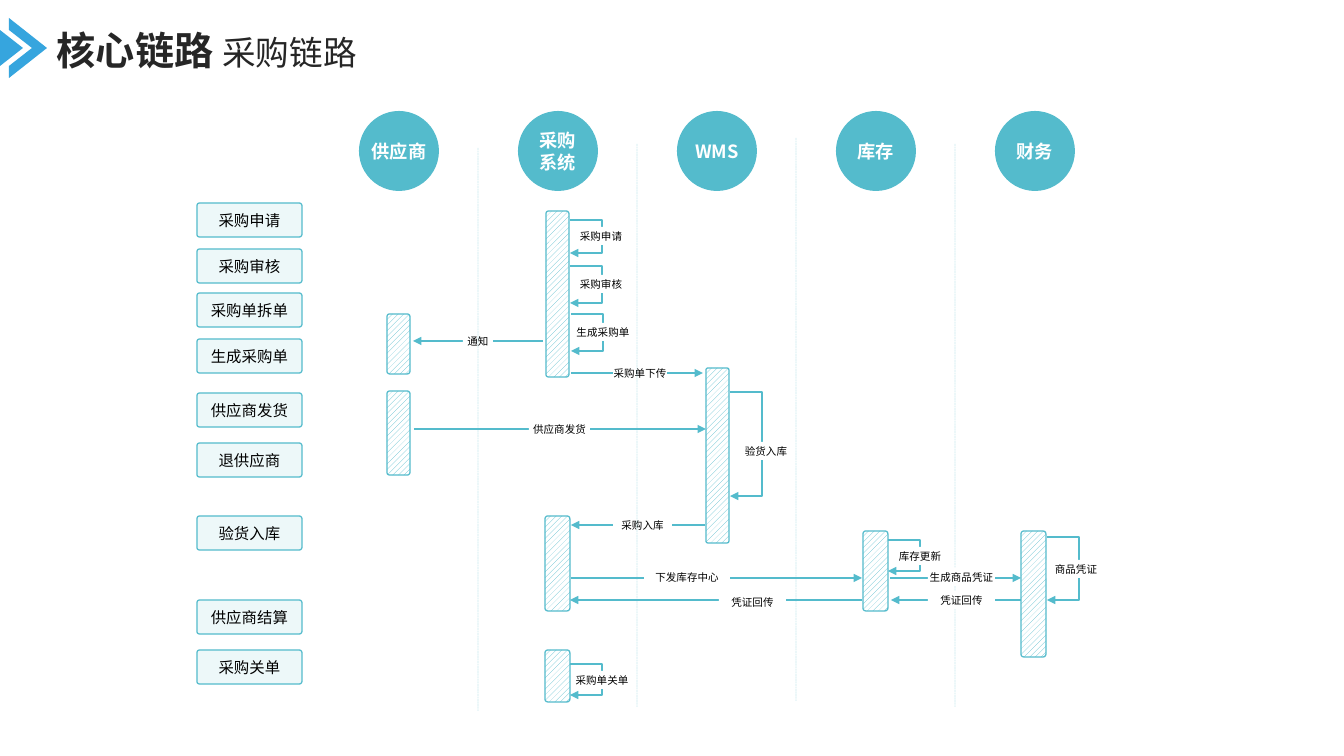
from typing import Any, NamedTuple

import lxml.etree
import pptx
import pptx.dml.color
import pptx.enum.dml
import pptx.enum.shapes
import pptx.enum.text
import pptx.oxml.ns
import pptx.util

EMU_PER_PX = 914400 / 100.8
TEAL = pptx.dml.color.RGBColor(0x54, 0xBB, 0xCC)
BLUE = pptx.dml.color.RGBColor(0x36, 0xA5, 0xDE)
WHITE = pptx.dml.color.RGBColor(0xFF, 0xFF, 0xFF)
BLACK = pptx.dml.color.RGBColor(0, 0, 0)
DARK = pptx.dml.color.RGBColor(0x26, 0x26, 0x26)
CJK_FONT = "Noto Sans CJK SC"
KIND = pptx.enum.shapes.MSO_SHAPE
LANE_LEFT, LANE_PITCH, LANE_SIZE = 359, 159, 80
LOOP_WIDTH = 32
LABEL_HEIGHT = 18


class Step(NamedTuple):
    text: str
    top: int


class Lane(NamedTuple):
    text: str
    inset: int


class Bar(NamedTuple):
    left: int
    top: int
    width: int
    height: int
    corner: float = 0.115


class Loop(NamedTuple):
    text: str
    left: int
    top: int
    height: int
    label_left: int
    label_top: int


class Message(NamedTuple):
    text: str
    start: int
    end: int
    top: int
    label_left: int
    label_top: int
    label_width: int


STEPS = (
    Step("采购申请", 203), Step("采购审核", 249), Step("采购单拆单", 293),
    Step("生成采购单", 339), Step("供应商发货", 393), Step("退供应商", 443),
    Step("验货入库", 516), Step("供应商结算", 600), Step("采购关单", 650),
)
LANES = (Lane("供应商", 0), Lane("采购系统", 5), Lane("WMS", 0), Lane("库存", 5), Lane("财务", 5))
DIVIDER_TOPS = (148, 144, 138, 144)
BARS = (
    Bar(546, 211, 23, 166), Bar(706, 368, 23, 175, 0.087), Bar(545, 650, 25, 52),
    Bar(387, 391, 23, 84), Bar(387, 314, 23, 60), Bar(545, 516, 25, 95),
    Bar(863, 531, 25, 80), Bar(1021, 531, 25, 126),
)
LOOPS = (
    Loop("采购申请", 570, 220, 33, 572, 227),
    Loop("采购审核", 570, 266, 37, 572, 275),
    Loop("生成采购单", 571, 314, 37, 574, 323),
    Loop("验货入库", 730, 392, 104, 737, 442),
    Loop("商品凭证", 1047, 537, 63, 1047, 560),
    Loop("采购单关单", 570, 664, 31, 573, 671),
    Loop("库存更新", 888, 540, 31, 891, 547),
)
ORDER_MESSAGES = (
    Message("通知", 543, 413, 341, 463, 332, 30),
    Message("采购单下传", 571, 703, 373, 613, 364, 54),
    Message("供应商发货", 414, 706, 429, 529, 420, 61),
    Message("采购入库", 705, 571, 525, 613, 516, 59),
)
VOUCHER_MESSAGES = (
    Message("下发库存中心", 571, 862, 578, 644, 568, 86),
    Message("生成商品凭证", 890, 1021, 578, 928, 568, 67),
    Message("凭证回传", 1021, 891, 600, 928, 591, 67),
    Message("凭证回传", 862, 570, 600, 719, 593, 67),
)


def px(length: int) -> pptx.util.Emu:
    return pptx.util.Emu(round(length * EMU_PER_PX))


def set_alpha(shape: Any, percent: int) -> None:
    color = next(shape._element.spPr.iter(pptx.oxml.ns.qn("a:srgbClr")))
    lxml.etree.SubElement(color, pptx.oxml.ns.qn("a:alpha"), val=str(percent * 1000))


def set_outline(shape: Any, points: float = 0.91) -> None:
    shape.line.color.rgb = TEAL
    shape.line.width = pptx.util.Pt(points)


def add_arrowhead(shape: Any) -> None:
    line = shape._element.spPr.find(pptx.oxml.ns.qn("a:ln"))
    lxml.etree.SubElement(line, pptx.oxml.ns.qn("a:tailEnd"), type="triangle")


def add_run(paragraph: Any, text: str, size: float, color: pptx.dml.color.RGBColor,
            bold: bool = False, font_name: str = CJK_FONT) -> None:
    run = paragraph.add_run()
    run.text = text
    run.font.size = pptx.util.Pt(size)
    run.font.bold = bold
    run.font.color.rgb = color
    run.font.name = font_name
    properties = run._r.get_or_add_rPr()
    lxml.etree.SubElement(properties, pptx.oxml.ns.qn("a:ea"), typeface=CJK_FONT)


def add_box(slide: Any, kind: Any, left: int, top: int, width: int, height: int,
            fill: pptx.dml.color.RGBColor, inset: int = 0) -> Any:
    shape = slide.shapes.add_shape(kind, px(left), px(top), px(width), px(height))
    shape.shadow.inherit = False
    shape.fill.solid()
    shape.fill.fore_color.rgb = fill
    shape.line.fill.background()
    frame = shape.text_frame
    frame.word_wrap = True
    frame.margin_left = frame.margin_right = px(inset)
    frame.vertical_anchor = pptx.enum.text.MSO_ANCHOR.MIDDLE
    frame.paragraphs[0].alignment = pptx.enum.text.PP_ALIGN.CENTER
    return shape


def add_outline(slide: Any, points: list[tuple[int, int]], close: bool) -> Any:
    builder = slide.shapes.build_freeform(*points[0], scale=EMU_PER_PX)
    builder.add_line_segments(points[1:], close=close)
    shape = builder.convert_to_shape()
    shape.shadow.inherit = False
    return shape


def add_line(slide: Any, start: tuple[int, int], end: tuple[int, int], points: float = 0.91) -> Any:
    connector = slide.shapes.add_connector(
        pptx.enum.shapes.MSO_CONNECTOR.STRAIGHT, *map(px, start + end))
    set_outline(connector, points)
    lxml.etree.SubElement(connector._element.spPr, pptx.oxml.ns.qn("a:effectLst"))
    return connector


def add_title(slide: Any) -> None:
    triangle = [(0, 30), (23, 48), (0, 66)]
    chevron = [(9, 18), (47, 48), (9, 78), (9, 66), (32, 48), (9, 30)]
    for points in (triangle, chevron):
        shape = add_outline(slide, points, close=True)
        shape.fill.solid()
        shape.fill.fore_color.rgb = BLUE
        shape.line.fill.background()
    frame = slide.shapes.add_textbox(px(47), px(21), px(327), px(57)).text_frame
    frame.word_wrap = False
    frame.auto_size = pptx.enum.text.MSO_AUTO_SIZE.SHAPE_TO_FIT_TEXT
    add_run(frame.paragraphs[0], "核心链路 ", 28, DARK, bold=True)
    add_run(frame.paragraphs[0], "采购链路", 24, DARK)


def add_step(slide: Any, step: Step) -> None:
    shape = add_box(slide, KIND.ROUNDED_RECTANGLE, 197, step.top, 105, 34, TEAL, 10)
    shape.adjustments[0] = 0.077
    set_alpha(shape, 10)
    set_outline(shape)
    add_run(shape.text_frame.paragraphs[0], step.text, 11, BLACK, font_name="Arial")


def add_lane(slide: Any, index: int, lane: Lane) -> None:
    left = LANE_LEFT + index * LANE_PITCH
    shape = add_box(slide, KIND.OVAL, left, 111, LANE_SIZE, LANE_SIZE, TEAL, lane.inset)
    add_run(shape.text_frame.paragraphs[0], lane.text, 13, WHITE, bold=True)


def add_divider(slide: Any, index: int, top: int) -> None:
    left = LANE_LEFT + index * LANE_PITCH + 119
    divider = add_line(slide, (left, top), (left, top + 563), 0.45)
    divider.line.dash_style = pptx.enum.dml.MSO_LINE.SQUARE_DOT
    set_alpha(divider, 30)


def add_bar(slide: Any, bar: Bar) -> None:
    shape = add_box(slide, KIND.ROUNDED_RECTANGLE, bar.left, bar.top, bar.width, bar.height, WHITE)
    shape.adjustments[0] = bar.corner
    shape.fill.patterned()
    shape.fill.pattern = pptx.enum.dml.MSO_PATTERN.WIDE_UPWARD_DIAGONAL
    shape.fill.fore_color.rgb = TEAL
    shape.fill.back_color.rgb = WHITE
    set_outline(shape)


def add_label(slide: Any, text: str, left: int, top: int, width: int = 58) -> None:
    shape = add_box(slide, KIND.RECTANGLE, left, top, width, LABEL_HEIGHT, WHITE)
    add_run(shape.text_frame.paragraphs[0], text, 7.5, BLACK)


def add_loop(slide: Any, loop: Loop) -> None:
    right, bottom = loop.left + LOOP_WIDTH, loop.top + loop.height
    points = [(loop.left, loop.top), (right, loop.top), (right, bottom), (loop.left, bottom)]
    shape = add_outline(slide, points, close=False)
    shape.fill.background()
    set_outline(shape)
    add_arrowhead(shape)
    add_label(slide, loop.text, loop.label_left, loop.label_top)


def add_message(slide: Any, message: Message) -> None:
    arrow = add_line(slide, (message.start, message.top), (message.end, message.top))
    add_arrowhead(arrow)
    add_label(slide, message.text, message.label_left, message.label_top, message.label_width)


def main() -> None:
    presentation = pptx.Presentation()
    presentation.slide_width, presentation.slide_height = px(1344), px(756)
    slide = presentation.slides.add_slide(presentation.slide_layouts[6])
    add_title(slide)
    for step in STEPS:
        add_step(slide, step)
    for index, lane in enumerate(LANES):
        add_lane(slide, index, lane)
    for bar in BARS:
        add_bar(slide, bar)
    for loop in LOOPS:
        add_loop(slide, loop)
    for message in ORDER_MESSAGES:
        add_message(slide, message)
    for index, top in enumerate(DIVIDER_TOPS):
        add_divider(slide, index, top)
    for message in VOUCHER_MESSAGES:
        add_message(slide, message)
    presentation.save("out.pptx")


if __name__ == "__main__":
    main()
